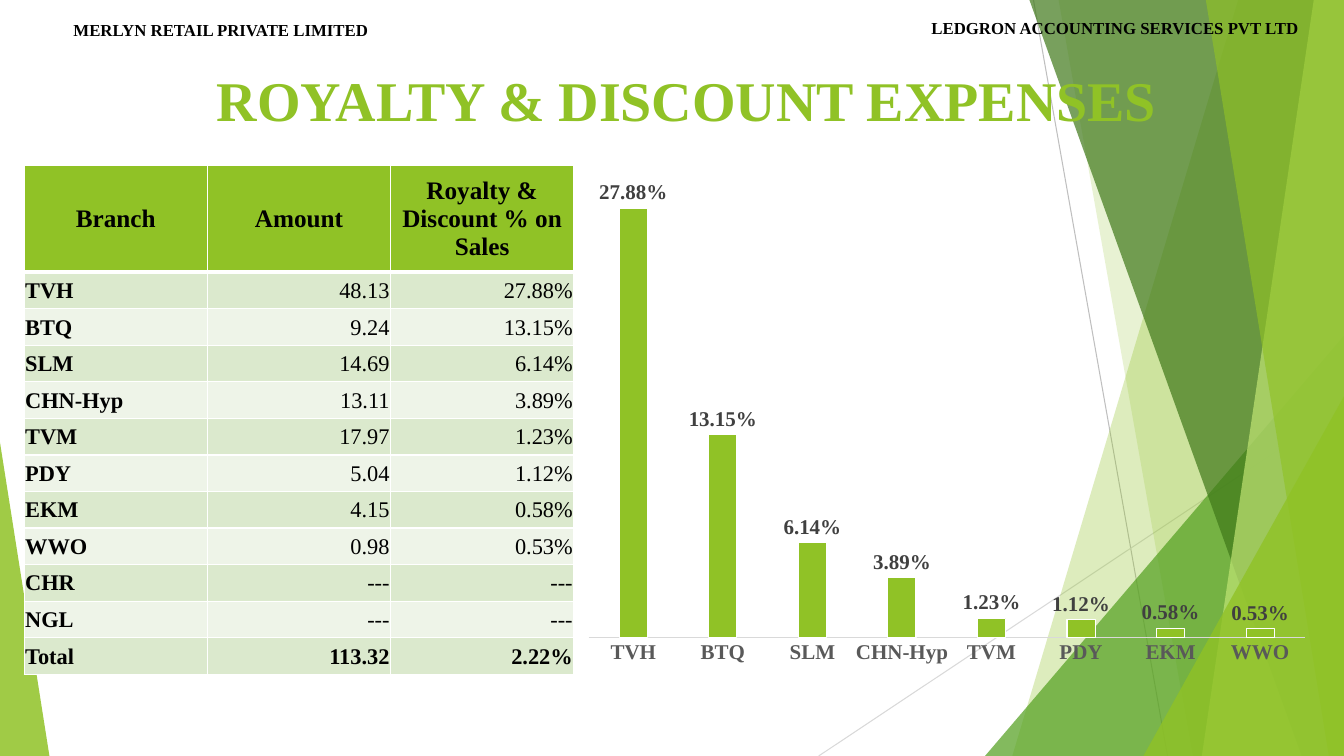
import pptx
import pptx.chart.data
import pptx.dml.color
import pptx.enum.chart
import pptx.enum.shapes
import pptx.enum.text
import pptx.oxml
import pptx.oxml.ns
import pptx.util
from lxml import etree

Inches = pptx.util.Inches
Pt = pptx.util.Pt
ALIGN = pptx.enum.text.PP_ALIGN
WIDTH, HEIGHT = 13.33, 7.5
FONT = "Times New Roman"
COLORS = {
    "white": "FFFFFF", "black": "000000", "lime": "90C226",
    "green": "54A021", "forest": "3F7819", "pale": "C0E474",
    "odd_row": "DBE9CD", "even_row": "EEF4E8",
    "gray": "BFBFBF", "light_gray": "D9D9D9",
    "axis_text": "595959", "label_text": "404040",
}
HEADERS = ["Branch", "Amount", "Royalty & Discount % on Sales"]
BRANCHES = [
    ("TVH", "48.13", 0.2788), ("BTQ", "9.24", 0.1315),
    ("SLM", "14.69", 0.0614), ("CHN-Hyp", "13.11", 0.0389),
    ("TVM", "17.97", 0.0123), ("PDY", "5.04", 0.0112),
    ("EKM", "4.15", 0.0058), ("WWO", "0.98", 0.0053),
]
CLOSING_ROWS = [("CHR", "---", "---"), ("NGL", "---", "---"), ("Total", "113.32", "2.22%")]


def rgb(name):
    return pptx.dml.color.RGBColor.from_string(COLORS[name])


def style_font(font, size, color, bold=True):
    font.name = FONT
    font.size = Pt(size)
    font.bold = bold
    font.color.rgb = rgb(color)


def style_facet(shape, color, opacity):
    shape.shadow.inherit = False
    shape.line.fill.background()
    shape.fill.solid()
    shape.fill.fore_color.rgb = rgb(color)
    color_element = shape.fill._xPr.find(".//" + pptx.oxml.ns.qn("a:srgbClr"))
    etree.SubElement(color_element, pptx.oxml.ns.qn("a:alpha"), val=str(opacity * 1000))


def add_thin_line(slide, start, end, color):
    connector = slide.shapes.add_connector(
        pptx.enum.shapes.MSO_CONNECTOR.STRAIGHT, *map(Inches, start + end))
    connector.line.color.rgb = rgb(color)
    connector.line.width = Pt(0.75)
    etree.SubElement(connector._element.spPr, pptx.oxml.ns.qn("a:effectLst"))


def add_band(slide, top_x, bottom_x, color, opacity):
    builder = slide.shapes.build_freeform(Inches(top_x), 0, scale=1.0)
    corners = [(WIDTH, 0), (WIDTH, HEIGHT), (bottom_x, HEIGHT)]
    builder.add_line_segments([(Inches(x), Inches(y)) for x, y in corners], close=True)
    style_facet(builder.convert_to_shape(), color, opacity)


def add_corner(slide, left, top, width, apex, color, opacity):
    shape = slide.shapes.add_shape(
        pptx.enum.shapes.MSO_SHAPE.ISOSCELES_TRIANGLE,
        Inches(left), Inches(top), Inches(width), Inches(HEIGHT - top))
    shape.adjustments[0] = apex
    style_facet(shape, color, opacity)


def add_backdrop(slide):
    add_thin_line(slide, (10.25, 0), (11.58, HEIGHT), "gray")
    add_thin_line(slide, (WIDTH, 4.03), (8.12, HEIGHT), "light_gray")
    add_band(slide, 12.28, 10.04, "lime", 30)
    add_band(slide, 10.5, 11.83, "lime", 20)
    add_corner(slide, 9.77, 3.33, 3.56, 1, "green", 72)
    add_band(slide, 10.21, 12.91, "forest", 70)
    add_band(slide, 13.03, 11.92, "pale", 70)
    add_band(slide, 11.96, 13.18, "lime", 65)
    add_corner(slide, 11.34, 3.93, 1.99, 1, "lime", 80)
    add_corner(slide, 0, 4.39, 0.49, 0, "lime", 85)


def add_heading(slide, box, text, size, color, alignment=ALIGN.LEFT):
    text_frame = slide.shapes.add_textbox(*map(Inches, box)).text_frame
    text_frame.word_wrap = True
    paragraph = text_frame.paragraphs[0]
    paragraph.text = text
    paragraph.alignment = alignment
    style_font(paragraph.font, size, color)


def style_cell(cell, text, size, bold, alignment, fill, bottom_width):
    cell.text = text
    cell.vertical_anchor = pptx.enum.text.MSO_ANCHOR.MIDDLE
    cell.margin_left = cell.margin_right = cell.margin_top = Inches(0.01)
    cell.margin_bottom = 0
    paragraph = cell.text_frame.paragraphs[0]
    paragraph.alignment = alignment
    style_font(paragraph.font, size, "black", bold)
    properties = cell._tc.get_or_add_tcPr()
    for side, width in (("L", 1), ("R", 1), ("T", 1), ("B", bottom_width)):
        properties.append(pptx.oxml.parse_xml(
            f'<a:ln{side} {pptx.oxml.ns.nsdecls("a")} w="{Pt(width)}"><a:solidFill>'
            f'<a:srgbClr val="{COLORS["white"]}"/></a:solidFill></a:ln{side}>'))
    cell.fill.solid()
    cell.fill.fore_color.rgb = rgb(fill)


def add_branch_table(slide, box):
    left, top, width, height = box
    body = [(name, amount, f"{share:.2%}") for name, amount, share in BRANCHES] + CLOSING_ROWS
    table = slide.shapes.add_table(len(body) + 1, len(HEADERS), *map(Inches, box)).table
    header_height = 1.06
    for column in table.columns:
        column.width = Inches(width / len(HEADERS))
    for row in table.rows:
        row.height = Inches((height - header_height) / len(body))
    table.rows[0].height = Inches(header_height)
    for column, text in enumerate(HEADERS):
        style_cell(table.cell(0, column), text, 18, True, ALIGN.CENTER, "lime", 3)
    for row, values in enumerate(body, 1):
        fill = "odd_row" if row % 2 else "even_row"
        for column, text in enumerate(values):
            bold = column == 0 or row == len(body)
            alignment = ALIGN.RIGHT if column else ALIGN.LEFT
            style_cell(table.cell(row, column), text, 16, bold, alignment, fill, 1)


def add_share_chart(slide, box):
    chart_data = pptx.chart.data.CategoryChartData(number_format="0.00%")
    chart_data.categories = [name for name, amount, share in BRANCHES]
    chart_data.add_series("Series 1", [share for name, amount, share in BRANCHES])
    chart = slide.shapes.add_chart(
        pptx.enum.chart.XL_CHART_TYPE.COLUMN_CLUSTERED, *map(Inches, box), chart_data).chart
    chart.has_legend = False
    chart.has_title = False
    style_font(chart.font, 15, "black", False)

    category_axis = chart.category_axis
    category_axis.major_tick_mark = pptx.enum.chart.XL_TICK_MARK.NONE
    category_axis.format.line.color.rgb = rgb("light_gray")
    category_axis.format.line.width = Pt(0.75)
    style_font(category_axis.tick_labels.font, 15, "axis_text")
    value_axis = chart.value_axis
    value_axis.visible = False
    value_axis.has_major_gridlines = False
    value_axis.minimum_scale = 0
    value_axis.maximum_scale = 0.3

    plot = chart.plots[0]
    plot.gap_width = 219
    plot.overlap = -27
    plot.vary_by_categories = False
    series = plot.series[0]
    series.format.fill.solid()
    series.format.fill.fore_color.rgb = rgb("lime")
    series.format.line.color.rgb = rgb("white")
    series.format.line.width = Pt(0.75)
    labels = series.data_labels
    labels.show_value = True
    labels.position = pptx.enum.chart.XL_LABEL_POSITION.OUTSIDE_END
    labels.number_format = "0.00%"
    labels.number_format_is_linked = False
    style_font(labels.font, 15, "label_text")


def build_expenses_slide(presentation):
    slide = presentation.slides.add_slide(presentation.slide_layouts[6])
    add_backdrop(slide)
    add_heading(slide, (9.14, 0.13, 4.1, 0.3), "LEDGRON ACCOUNTING SERVICES PVT\u00a0LTD".replace("\u00a0", " "), 12, "black")
    add_heading(slide, (0.63, 0.15, 5.62, 0.3), "MERLYN RETAIL PRIVATE LIMITED", 12, "black")
    add_heading(slide, (1.03, 0.6, 11.56, 0.77), "ROYALTY & DISCOUNT EXPENSES",
                40, "lime", ALIGN.CENTER)
    add_branch_table(slide, (0.24, 1.64, 5.45, 5.05))
    add_share_chart(slide, (5.69, 1.64, 7.4, 5.05))


def main():
    presentation = pptx.Presentation()
    presentation.slide_width = Inches(WIDTH)
    presentation.slide_height = Inches(HEIGHT)
    build_expenses_slide(presentation)
    presentation.save("out.pptx")


if __name__ == "__main__":
    main()
